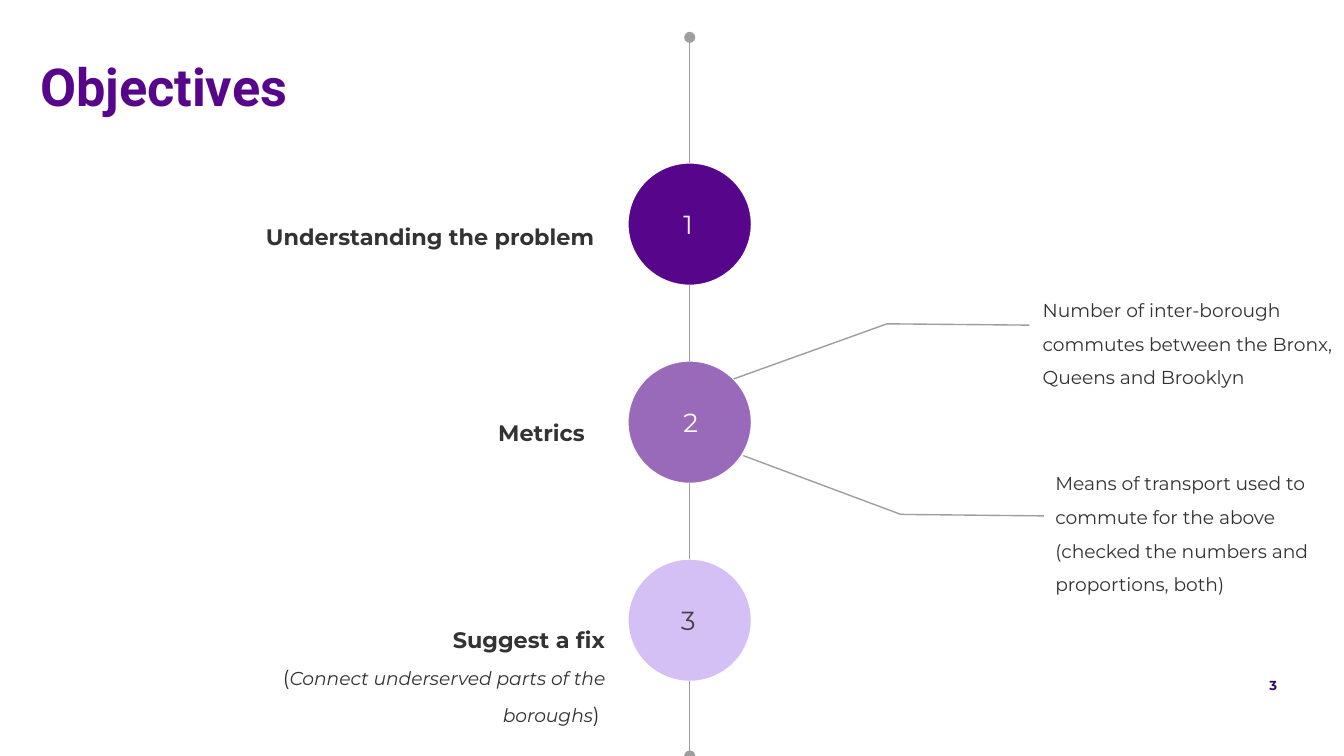
from dataclasses import dataclass

from lxml.etree import SubElement
from pptx import Presentation
from pptx.dml.color import RGBColor
from pptx.enum.shapes import MSO_CONNECTOR, MSO_SHAPE
from pptx.enum.text import MSO_AUTO_SIZE, PP_ALIGN
from pptx.oxml.ns import qn
from pptx.util import Pt


@dataclass(frozen=True)
class Theme:
    heading_font: str = "Roboto"
    body_font: str = "Montserrat"
    white: str = "FFFFFF"
    purple: str = "57068C"
    mid_purple: str = "9A6ABA"
    pale_purple: str = "D5C0F6"
    page_purple: str = "330662"
    ink: str = "333333"
    soft_ink: str = "414141"
    rule: str = "9E9E9E"
    title_size: float = 28
    number_size: float = 14
    label_size: float = 12
    bracket_size: float = 11
    detail_size: float = 10
    page_size: float = 7
    line_width: float = 0.75
    spacing: float = 1.5


THEME = Theme()
SLIDE_WIDTH, SLIDE_HEIGHT = 720, 405
CIRCLE_WIDTH, CIRCLE_HEIGHT = 66.2, 65.6
CIRCLE_LEFT, FIRST_TOP, STEP_PITCH = 336.4, 87.3, 106.1
SPINE_X = CIRCLE_LEFT + CIRCLE_WIDTH / 2
SPINE_TOP = 20


def style(paragraph, size, color, bold=False, font=THEME.body_font,
          align=PP_ALIGN.LEFT, spacing=None):
    paragraph.alignment = align
    if spacing:
        paragraph.line_spacing = spacing
    paragraph.font.name = font
    paragraph.font.size = Pt(size)
    paragraph.font.bold = bold
    paragraph.font.color.rgb = RGBColor.from_string(color)


def add_text(slide, box, text, size, color, grow=True, **options):
    """Add a one-paragraph text box and return its text frame."""
    frame = slide.shapes.add_textbox(*map(Pt, box)).text_frame
    frame.word_wrap = True
    frame.auto_size = MSO_AUTO_SIZE.SHAPE_TO_FIT_TEXT if grow else MSO_AUTO_SIZE.NONE
    frame.margin_left = frame.margin_right = Pt(7.2)
    frame.margin_top = frame.margin_bottom = Pt(7.2)
    frame.text = text
    style(frame.paragraphs[0], size, color, **options)
    return frame


def add_line(slide, start, end, dot=False):
    """Draw a thin rule, with a dot at its end if asked."""
    line = slide.shapes.add_connector(MSO_CONNECTOR.STRAIGHT, *map(Pt, (*start, *end)))
    line.line.color.rgb = RGBColor.from_string(THEME.rule)
    line.line.width = Pt(THEME.line_width)
    properties = line._element.spPr
    if dot:
        SubElement(properties.find(qn("a:ln")), qn("a:tailEnd"), type="oval")
    SubElement(properties, qn("a:effectLst"))


def add_title(slide, box):
    add_text(slide, box, "Objectives", THEME.title_size, THEME.purple, grow=False,
             bold=True, font=THEME.heading_font, spacing=0.8)


def add_page_number(slide, box):
    add_text(slide, box, "3", THEME.page_size, THEME.page_purple, grow=False,
             bold=True, align=PP_ALIGN.RIGHT)


def add_spine(slide, circle_tops):
    """Join the circles, and run out to a dot above and below them."""
    first, last = circle_tops[0], circle_tops[-1] + CIRCLE_HEIGHT
    for upper, lower in zip(circle_tops, circle_tops[1:]):
        add_line(slide, (SPINE_X, upper + CIRCLE_HEIGHT), (SPINE_X, lower))
    add_line(slide, (SPINE_X, first), (SPINE_X, SPINE_TOP), dot=True)
    add_line(slide, (SPINE_X, last), (SPINE_X, SLIDE_HEIGHT), dot=True)


def add_numbered_circle(slide, box, number, fill, color, shift):
    """Draw a circle with its number; shift is the number's inset from the left."""
    left, top = box[:2]
    circle = slide.shapes.add_shape(MSO_SHAPE.OVAL, *map(Pt, box))
    circle.shadow.inherit = False
    circle.fill.solid()
    circle.fill.fore_color.rgb = RGBColor.from_string(fill)
    circle.line.color.rgb = RGBColor.from_string(THEME.white)
    circle.line.width = Pt(THEME.line_width)
    add_text(slide, (left + shift, top + 17.2, 59, 31.7), str(number),
             THEME.number_size, color, align=PP_ALIGN.CENTER)


def add_step_label(slide, box, label, remark):
    """Write a step's name, and below it a remark in brackets if there is one."""
    options = dict(align=PP_ALIGN.RIGHT, spacing=THEME.spacing)
    frame = add_text(slide, box, label, THEME.label_size, THEME.ink, bold=True, **options)
    if remark:
        paragraph = frame.add_paragraph()
        style(paragraph, THEME.bracket_size, THEME.ink, **options)
        for text in ("(", remark, ") "):
            run = paragraph.add_run()
            run.text = text
            if text == remark:
                run.font.size = Pt(THEME.detail_size)
                run.font.italic = True
    for paragraph in frame.paragraphs:
        paragraph._p.get_or_add_pPr().set("marL", str(Pt(36)))


def add_callout(slide, box, text, leader):
    """Write a detail and draw the bent leader that reaches it."""
    for start, end in zip(leader, leader[1:]):
        add_line(slide, start, end)
    add_text(slide, box, text, THEME.detail_size, THEME.ink, spacing=THEME.spacing)


STEPS = [
    # fill, number colour, number inset, label box, label, remark
    (THEME.purple, THEME.white, 2.8, (67.7, 105.1, 257.8, 28.8),
     "Understanding the problem", None),
    (THEME.mid_purple, THEME.white, 4.2, (67.7, 210.2, 252.7, 28.8), "Metrics", None),
    (THEME.pale_purple, THEME.soft_ink, 2.8, (99.4, 321.1, 231.8, 69.8),
     "Suggest a fix", "Connect underserved parts of the boroughs"),
]

CALLOUTS = [
    ((551.5, 146.9, 174.2, 86.4),
     "Number of inter-borough commutes between the Bronx, Queens and Brooklyn",
     [(393.1, 203), (475.2, 173.5), (551.5, 174.2)]),
    ((558.3, 239.8, 160.6, 81.4),
     "Means of transport used to commute for the above "
     "(checked the numbers and proportions, both)",
     [(398.2, 244.1), (482.6, 275.6), (559.2, 276.4)]),
]


def main():
    deck = Presentation()
    deck.slide_width, deck.slide_height = Pt(SLIDE_WIDTH), Pt(SLIDE_HEIGHT)
    slide = deck.slides.add_slide(deck.slide_layouts[6])

    add_page_number(slide, (360.7, 355.7, 330.5, 24.5))
    add_title(slide, (14.4, 28.1, 285.8, 51.8))
    tops = [FIRST_TOP + index * STEP_PITCH for index in range(len(STEPS))]
    for number, (top, step) in enumerate(zip(tops, STEPS), start=1):
        fill, color, shift, label_box, label, remark = step
        circle_box = (CIRCLE_LEFT, top, CIRCLE_WIDTH, CIRCLE_HEIGHT)
        add_numbered_circle(slide, circle_box, number, fill, color, shift)
        add_step_label(slide, label_box, label, remark)
    for box, text, leader in CALLOUTS:
        add_callout(slide, box, text, leader)
    add_spine(slide, tops)

    deck.save("out.pptx")


if __name__ == "__main__":
    main()
